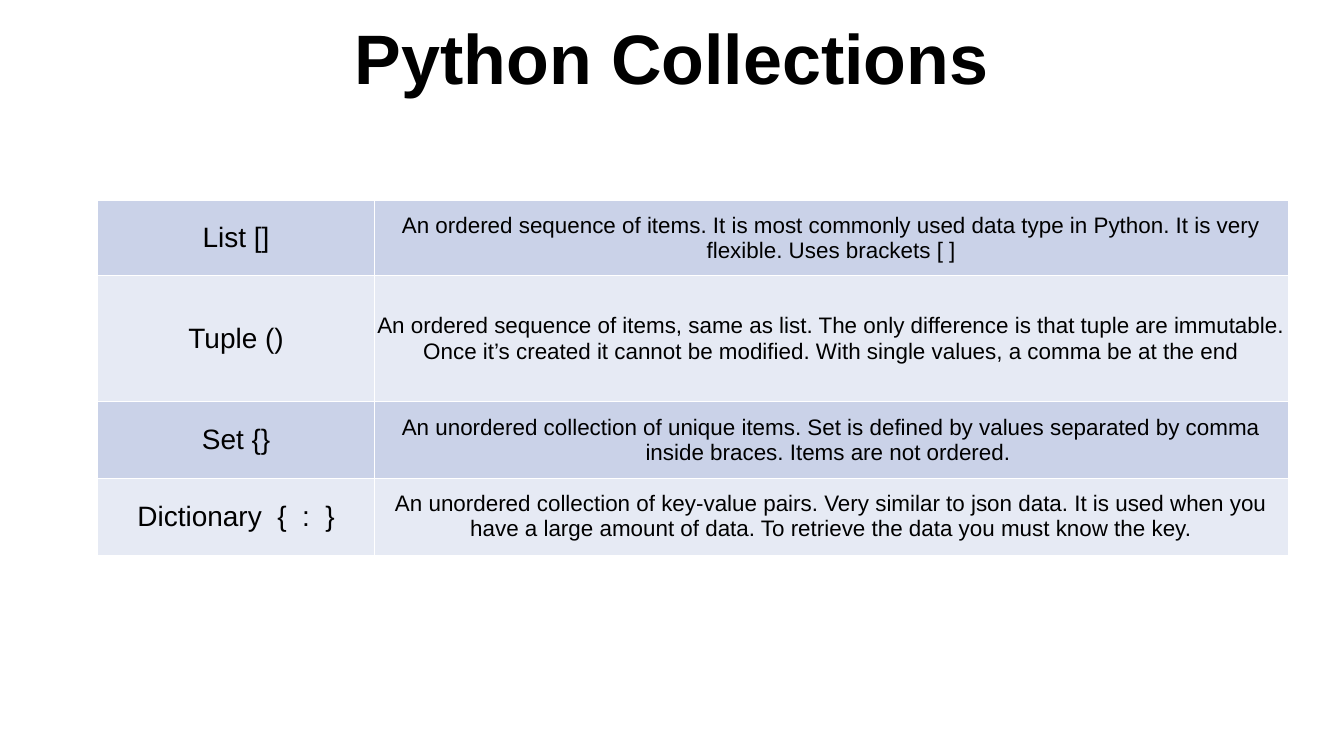
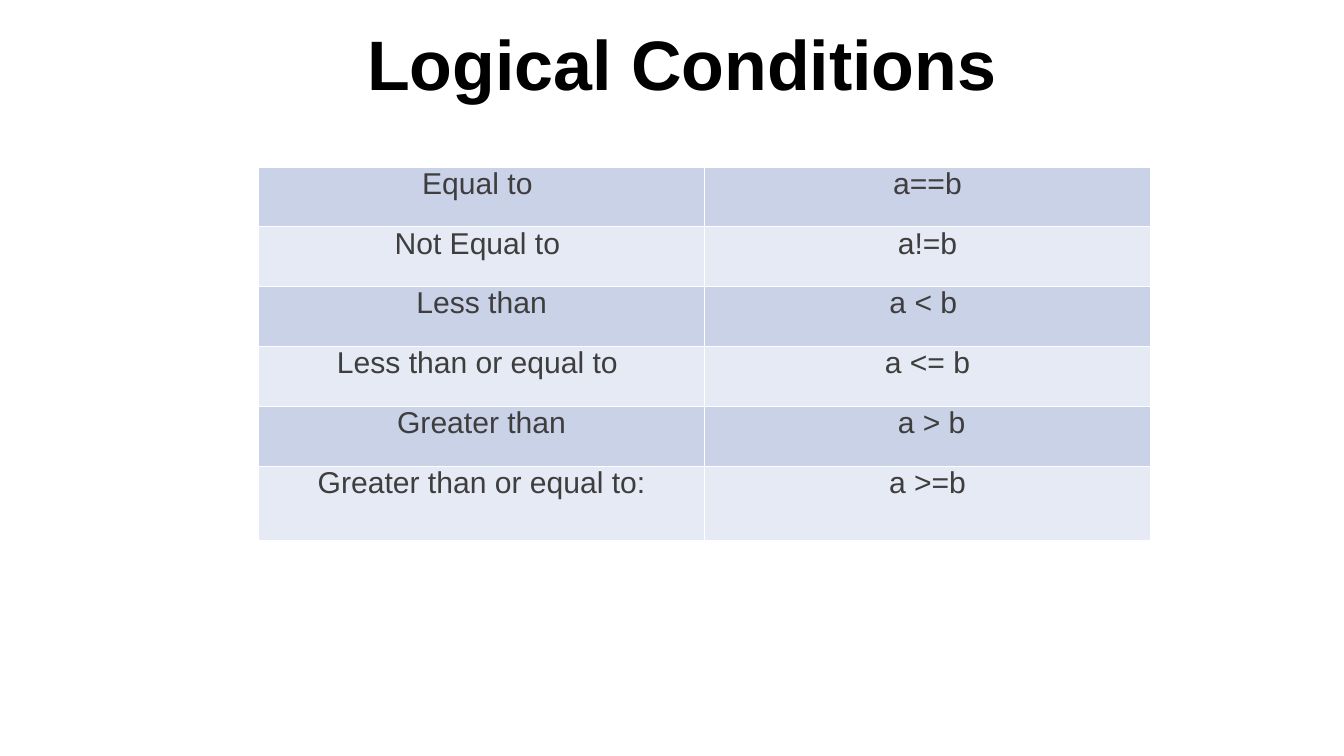
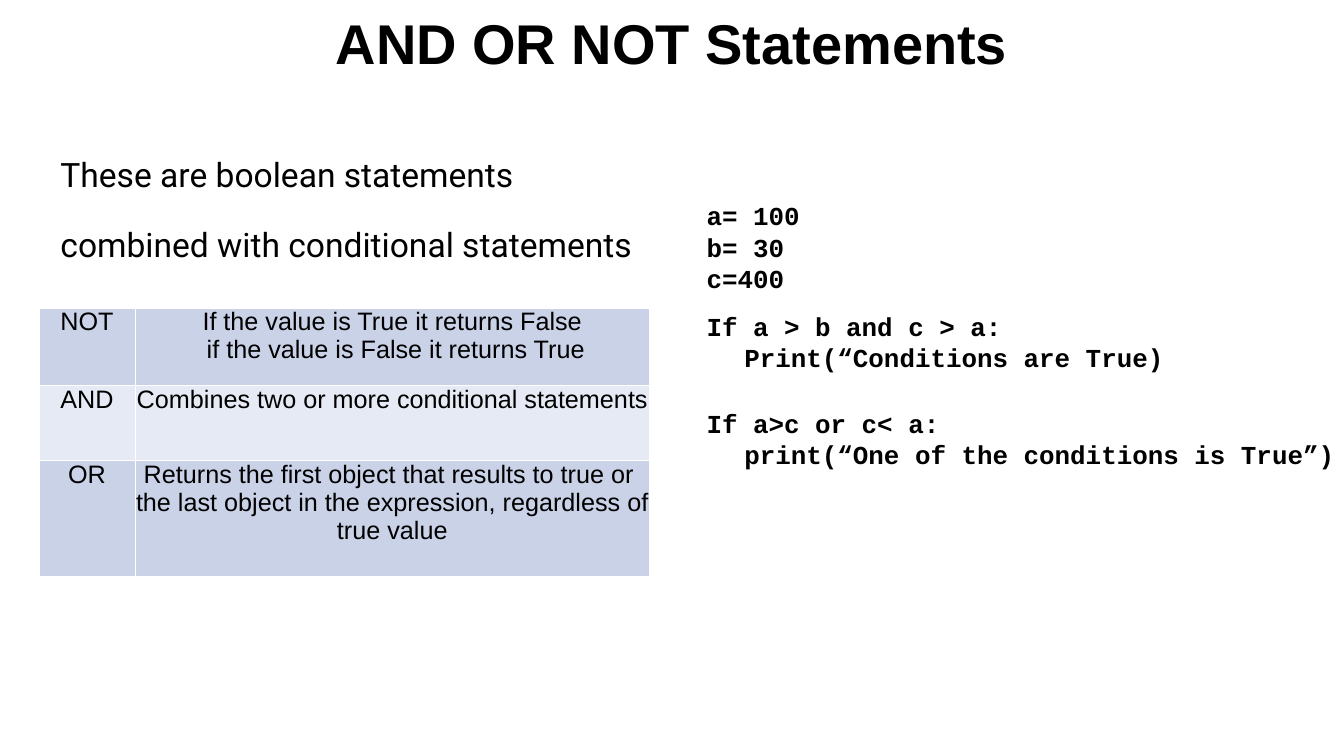
from pptx import Presentation
from pptx.dml.color import RGBColor
from pptx.enum.text import MSO_ANCHOR, PP_ALIGN
from pptx.oxml import parse_xml
from pptx.oxml.ns import nsdecls
from pptx.util import Inches, Pt

CENTER, LEFT = PP_ALIGN.CENTER, PP_ALIGN.LEFT
TOP, MIDDLE = MSO_ANCHOR.TOP, MSO_ANCHOR.MIDDLE

BLACK = RGBColor(0x00, 0x00, 0x00)
CHARCOAL = RGBColor(0x3E, 0x3E, 0x3E)
BANDS = (RGBColor(0xCA, 0xD2, 0xE8), RGBColor(0xE6, 0xEA, 0xF4))
BORDER_XML = (
    '<a:{side} {ns} w="12700"><a:solidFill><a:srgbClr val="FFFFFF"/>'
    "</a:solidFill></a:{side}>"
)

# Content
COLLECTIONS = [
    ("List []", "An ordered sequence of items. It is most commonly used data type in "
     "Python. It is very flexible. Uses brackets [ ]"),
    ("Tuple ()", "An ordered sequence of items, same as list. The only difference is that "
     "tuple are immutable. Once it’s created it cannot be modified. With single values, "
     "a comma be at the end"),
    ("Set {}", "An unordered collection of unique items. Set is defined by values separated "
     "by comma inside braces. Items are not ordered. "),
    ("Dictionary  {  :  }", "An unordered collection of key-value pairs. Very similar to json "
     "data. It is used when you have a large amount of data. To retrieve the data you must "
     "know the key."),
]
CONDITIONS = [
    ("Equal to ", "a==b"),
    ("Not Equal to ", "a!=b"),
    ("Less than", "a < b "),
    ("Less than or equal to ", "a <= b"),
    ("Greater than", " a > b"),
    ("Greater than or equal to:", "a >=b"),
]
STATEMENTS = [
    ("NOT", "If the value is True it returns False\v if the value is False it returns True"),
    ("AND", "Combines two or more conditional statements"),
    ("OR", "Returns the first object that results to true or \vthe last object in the "
     "expression, regardless of true value"),
]
INTRO = "These are boolean statements combined with conditional statements"
# Each code line: text, first-line indent in inches, space before in points
CODE = [
    ("a= 100", 0, 0),
    ("b= 30", 0, 0),
    ("c=400", 0, 0),
    ("If a > b and c > a:", 0, 25),
    ("Print(“Conditions are True)", 0.75, 0),
    ("If a>c or c< a:", 0, 50),
    ("print(“One of the conditions is True”)", 0.75, 0),
]

# One entry per slide
SLIDES = [
    dict(title="Python Collections", title_box=(1.94, 0.04, 22.78, 2.16), title_size=100,
         rows=COLLECTIONS, corner=(1.94, 3.97), widths=(5.49, 18.13),
         heights=(1.5, 2.5, 1.52, 1.52), sizes=(40, 32), color=BLACK, anchor=MIDDLE),
    dict(title="Logical Conditions", title_box=(2.14, 0.04, 22.78, 2.38), title_size=100,
         rows=CONDITIONS, corner=(5.13, 3.31), widths=(8.85, 8.85),
         heights=(1.19,) * 5 + (1.47,), sizes=(43, 43), color=CHARCOAL, anchor=TOP),
    dict(title="AND OR NOT Statements", title_box=(1.94, 0.11, 22.78, 1.45), title_size=80,
         rows=STATEMENTS, corner=(0.77, 6.11), widths=(1.91, 10.21),
         heights=(1.54, 1.49, 2.3), sizes=(36, 36), color=BLACK, anchor=TOP),
]


def style(paragraph, size, name="Arial", color=BLACK, bold=False, align=CENTER):
    paragraph.alignment = align
    for run in paragraph.runs:
        for key, value in dict(size=Pt(size), name=name, bold=bold).items():
            setattr(run.font, key, value)
        run.font.color.rgb = color


def add_text_frame(slide, box, inset, top_inset=None, anchor=TOP):
    frame = slide.shapes.add_textbox(*map(Inches, box)).text_frame
    frame.word_wrap = True
    frame.vertical_anchor = anchor
    for side in ("left", "right", "top", "bottom"):
        setattr(frame, f"margin_{side}", Inches(inset))
    if top_inset is not None:
        frame.margin_top = Inches(top_inset)
    return frame


def add_title(slide, text, box, size):
    paragraph = add_text_frame(slide, box, 0.1, anchor=MIDDLE).paragraphs[0]
    paragraph.text = text
    style(paragraph, size, bold=True)


def fill_cell(cell, text, size, color, band, anchor):
    cell.text = text
    cell.vertical_anchor = anchor
    for side in ("left", "right", "top", "bottom"):
        setattr(cell, f"margin_{side}", 0)
    style(cell.text_frame.paragraphs[0], size, color=color)
    # Borders come before the fill in the cell properties
    properties = cell._tc.get_or_add_tcPr()
    for side in ("lnL", "lnR", "lnT", "lnB"):
        properties.append(parse_xml(BORDER_XML.format(side=side, ns=nsdecls("a"))))
    cell.fill.solid()
    cell.fill.fore_color.rgb = band


def add_banded_table(slide, rows, corner, widths, heights, sizes, color, anchor):
    size = (sum(widths), sum(heights))
    table = slide.shapes.add_table(
        len(rows), len(widths), *map(Inches, corner + size)).table
    table.first_row = table.horz_banding = False
    for column, width in zip(table.columns, widths):
        column.width = Inches(width)
    for r, (texts, height) in enumerate(zip(rows, heights)):
        table.rows[r].height = Inches(height)
        for c, text in enumerate(texts):
            fill_cell(table.cell(r, c), text, sizes[c], color, BANDS[r % 2], anchor)


def add_intro(slide):
    frame = add_text_frame(slide, (0.65, 1.55, 12.37, 5.93), 0.05, top_inset=0.92)
    paragraph = frame.paragraphs[0]
    paragraph.text = INTRO
    paragraph.line_spacing = 1.73
    paragraph._p.get_or_add_pPr().set("marL", str(Inches(0.5)))
    style(paragraph, 48, "Roboto", align=LEFT)


def add_code(slide):
    frame = add_text_frame(slide, (13.97, 3.5, 12.89, 6.58), 0.05, top_inset=0.47)
    for i, (line, indent, gap) in enumerate(CODE):
        paragraph = frame.add_paragraph() if i else frame.paragraphs[0]
        paragraph.text = line
        paragraph.space_before = Pt(gap)
        paragraph._p.get_or_add_pPr().set("indent", str(Inches(indent)))
        style(paragraph, 37, "Courier New", bold=True, align=LEFT)


def main():
    deck = Presentation()
    deck.slide_width, deck.slide_height = Inches(26.67), Inches(15)
    blank = deck.slide_layouts[6]
    for content in SLIDES:
        slide = deck.slides.add_slide(blank)
        add_title(slide, content["title"], content["title_box"], content["title_size"])
        if content["rows"] is STATEMENTS:
            add_intro(slide)
        table_keys = ("rows", "corner", "widths", "heights", "sizes", "color", "anchor")
        add_banded_table(slide, **{key: content[key] for key in table_keys})
        if content["rows"] is STATEMENTS:
            add_code(slide)
    deck.save("out.pptx")


if __name__ == "__main__":
    main()
